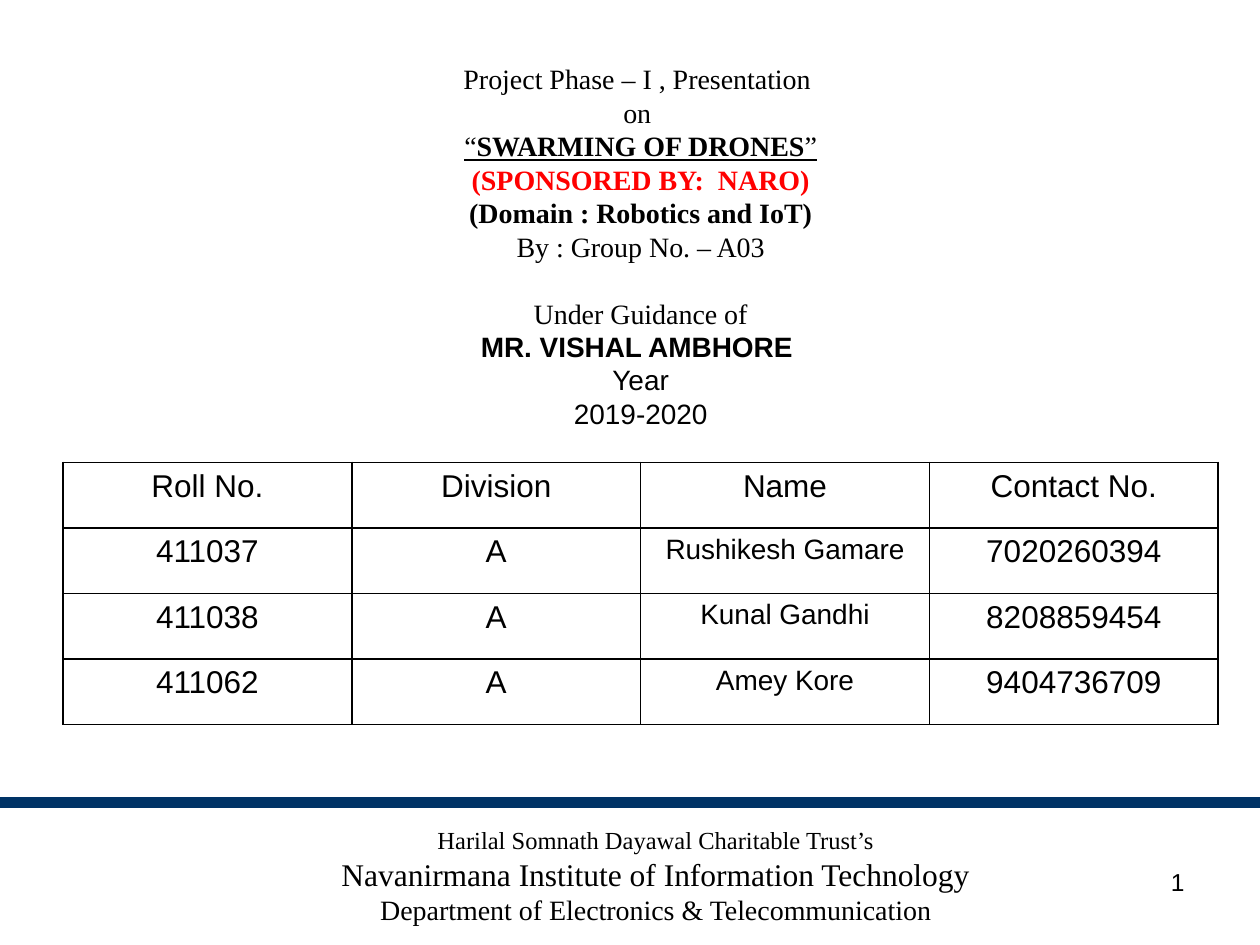
from lxml import etree
from pptx import Presentation
from pptx.dml.color import RGBColor
from pptx.enum.shapes import MSO_SHAPE
from pptx.enum.text import MSO_ANCHOR, MSO_AUTO_SIZE, PP_ALIGN
from pptx.oxml.ns import qn
from pptx.util import Inches, Pt

CENTER, RIGHT = PP_ALIGN.CENTER, PP_ALIGN.RIGHT
TOP = MSO_ANCHOR.TOP
NO_AUTOFIT = MSO_AUTO_SIZE.NONE
RECTANGLE = MSO_SHAPE.RECTANGLE

COLORS = {"text": "000000", "sponsor": "FF0000", "rule": "003366", "page": "FFFFFF"}
SERIF, SANS = "Times New Roman", "Arial"
HEADING_PITCH = Pt(19.15)

# Runs of each line: text, font, bold, underline, colour
HEADING = [
    [("Project Phase – I , Presentation ", SERIF, False, False, "text")],
    [("on ", SERIF, False, False, "text")],
    [("“", SERIF, False, True, "text"),
     ("SWARMING OF DRONES", SERIF, True, True, "text"),
     ("”", SERIF, False, True, "text")],
    [("(SPONSORED BY:  NARO)", SERIF, True, False, "sponsor")],
    [("(Domain : Robotics and IoT)", SERIF, True, False, "text")],
    [("By : Group No. – A03", SERIF, False, False, "text")],
    [("Under Guidance of", SERIF, False, False, "text")],
    [("MR. VISHAL AMBHORE ", SANS, True, False, "text")],
    [("Year", SANS, False, False, "text")],
    [("2019-2020", SANS, False, False, "text")],
]
GUIDANCE_LINE = 6

MEMBERS = [
    ("Roll No.", "Division", "Name", "Contact No."),
    ("411037", "A", "Rushikesh Gamare", "7020260394"),
    ("411038", "A", "Kunal Gandhi", "8208859454"),
    ("411062", "A", "Amey Kore", "9404736709"),
]
NAME_COLUMN = 2

INSTITUTE = [
    ("Harilal Somnath Dayawal Charitable Trust’s", 14),
    ("Navanirmana Institute of Information Technology", 18),
    ("Department of Electronics & Telecommunication", 16),
]


def rgb(name):
    return RGBColor.from_string(COLORS[name])


def format_run(run, font, size, bold=False, underline=False, color="text"):
    run.font.name = font
    run.font.size = Pt(size)
    run.font.bold = bold
    run.font.underline = underline
    run.font.color.rgb = rgb(color)


def add_heading(slide, left, top, width, height):
    title = slide.shapes.title
    title.left, title.top, title.width, title.height = left, top, width, height
    frame = title.text_frame
    frame.word_wrap = True
    frame.auto_size = NO_AUTOFIT
    frame.vertical_anchor = TOP
    for index, line in enumerate(HEADING):
        paragraph = frame.paragraphs[0] if index == 0 else frame.add_paragraph()
        paragraph.alignment = CENTER
        paragraph.line_spacing = HEADING_PITCH
        paragraph.space_before = HEADING_PITCH if index == GUIDANCE_LINE else Pt(0)
        for text, font, bold, underline, color in line:
            run = paragraph.add_run()
            run.text = text
            format_run(run, font, 16, bold, underline, color)


def set_borders(cell):
    properties = cell._tc.get_or_add_tcPr()
    for index, side in enumerate(("a:lnL", "a:lnR", "a:lnT", "a:lnB")):
        line = etree.Element(qn(side), w=str(Pt(1)))
        fill = etree.SubElement(line, qn("a:solidFill"))
        etree.SubElement(fill, qn("a:srgbClr"), val=COLORS["text"])
        properties.insert(index, line)


def add_members_table(slide, left, top, width, height):
    rows, columns = len(MEMBERS), len(MEMBERS[0])
    table = slide.shapes.add_table(rows, columns, left, top, width, height).table
    table.first_row = table.horz_banding = False
    for row, values in enumerate(MEMBERS):
        for column, value in enumerate(values):
            cell = table.cell(row, column)
            cell.fill.solid()
            cell.fill.fore_color.rgb = rgb("page")
            set_borders(cell)
            cell.text_frame.text = value
            paragraph = cell.text_frame.paragraphs[0]
            paragraph.alignment = CENTER
            size = 16 if row > 0 and column == NAME_COLUMN else 18
            format_run(paragraph.runs[0], SANS, size)


def add_text(slide, box, lines, font, alignment):
    """Add a text box with one paragraph for each (text, size) pair."""
    frame = slide.shapes.add_textbox(*box).text_frame
    frame.word_wrap = True
    frame.text = "\n".join(text for text, _ in lines)
    for paragraph, (_, size) in zip(frame.paragraphs, lines):
        paragraph.alignment = alignment
        format_run(paragraph.runs[0], font, size)


def add_footer(slide, left, top, width):
    rule = slide.shapes.add_shape(RECTANGLE, left, top, width, Inches(0.08))
    rule.shadow.inherit = False
    rule.fill.solid()
    rule.fill.fore_color.rgb = rgb("rule")
    rule.line.color.rgb = rgb("rule")
    rule.line.width = Pt(0.75)

    institute_box = (left + Inches(1), top + Inches(0.17), Inches(8.41), Inches(0.91))
    add_text(slide, institute_box, INSTITUTE, SERIF, CENTER)
    number_box = (left + Inches(7.17), top + Inches(0.5), Inches(2.33), Inches(0.52))
    add_text(slide, number_box, [("1", 14)], SANS, RIGHT)


def main():
    presentation = Presentation()
    presentation.slide_width, presentation.slide_height = Inches(10), Inches(7.5)
    slide = presentation.slides.add_slide(presentation.slide_layouts[5])
    left, width = Inches(0.5), Inches(9.17)
    add_heading(slide, left, Inches(0.44), width, Inches(3.1))
    add_members_table(slide, left, Inches(3.67), width, Inches(2.08))
    add_footer(slide, 0, Inches(6.33), presentation.slide_width)
    presentation.save("out.pptx")


if __name__ == "__main__":
    main()
